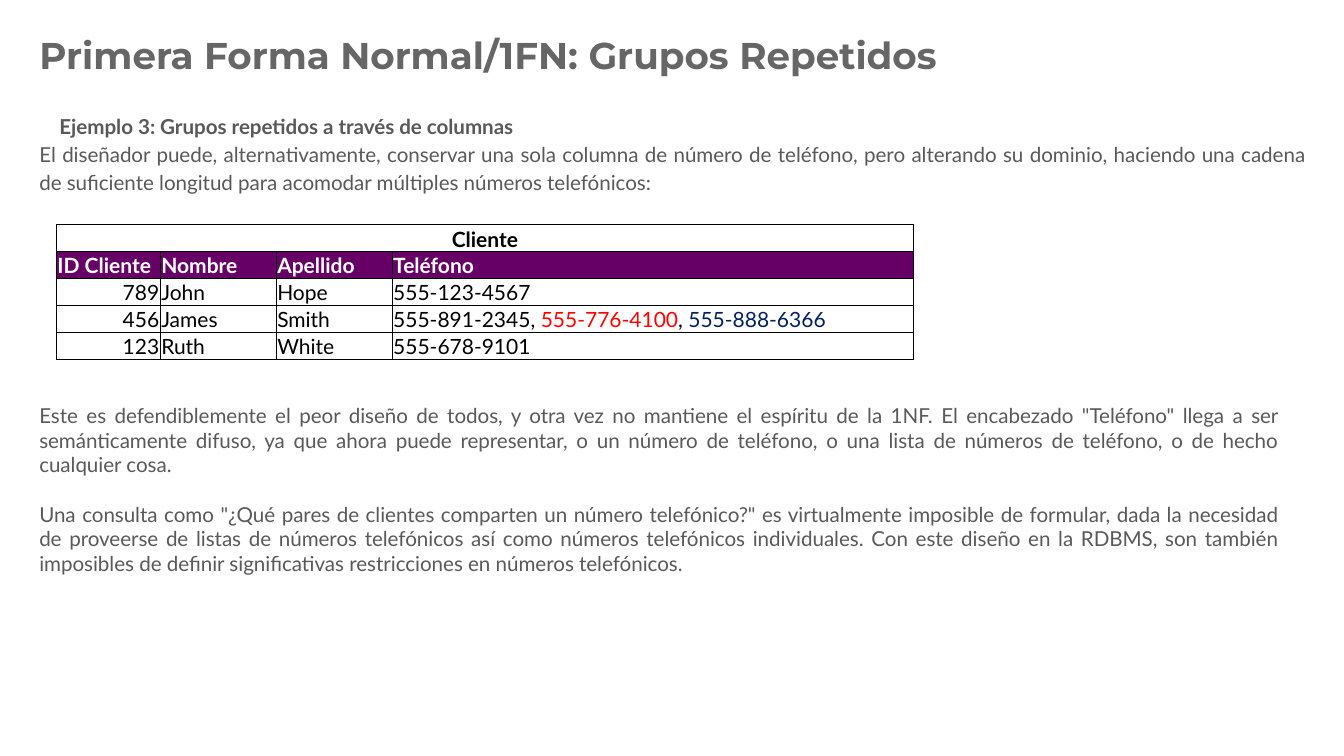
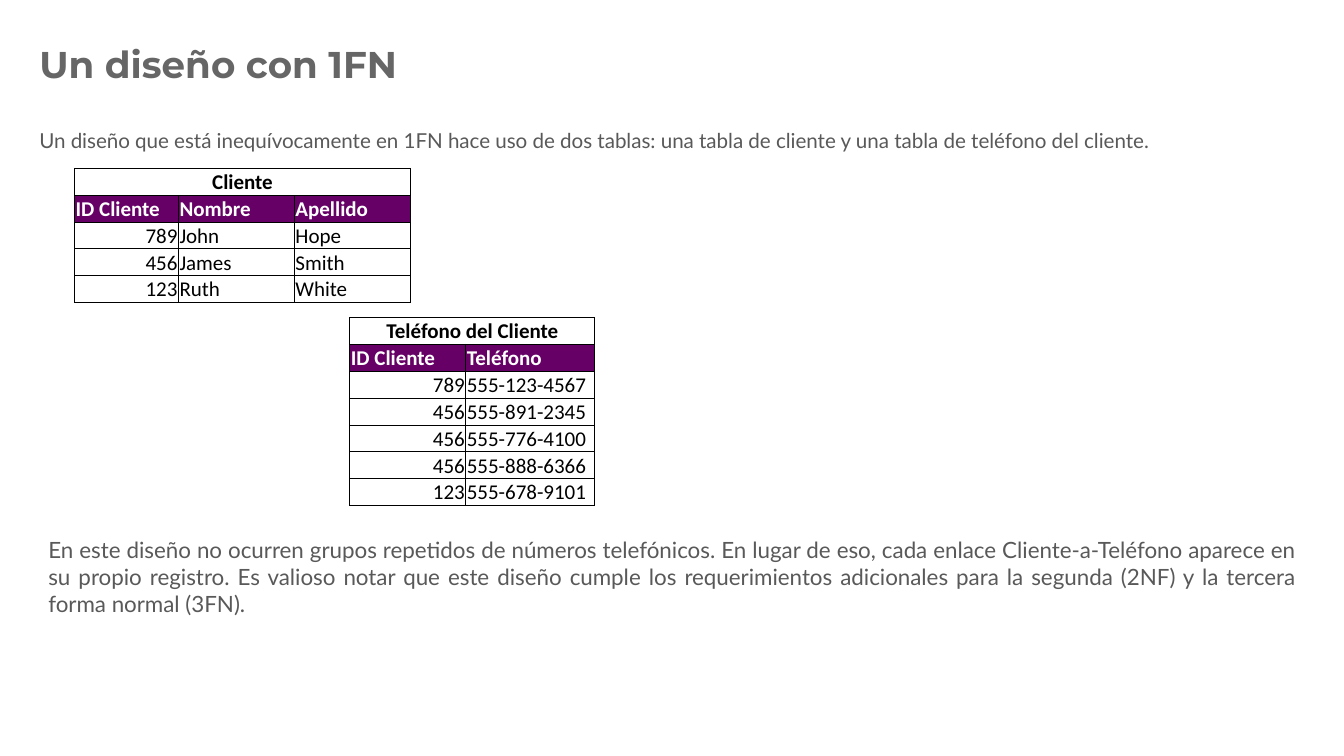
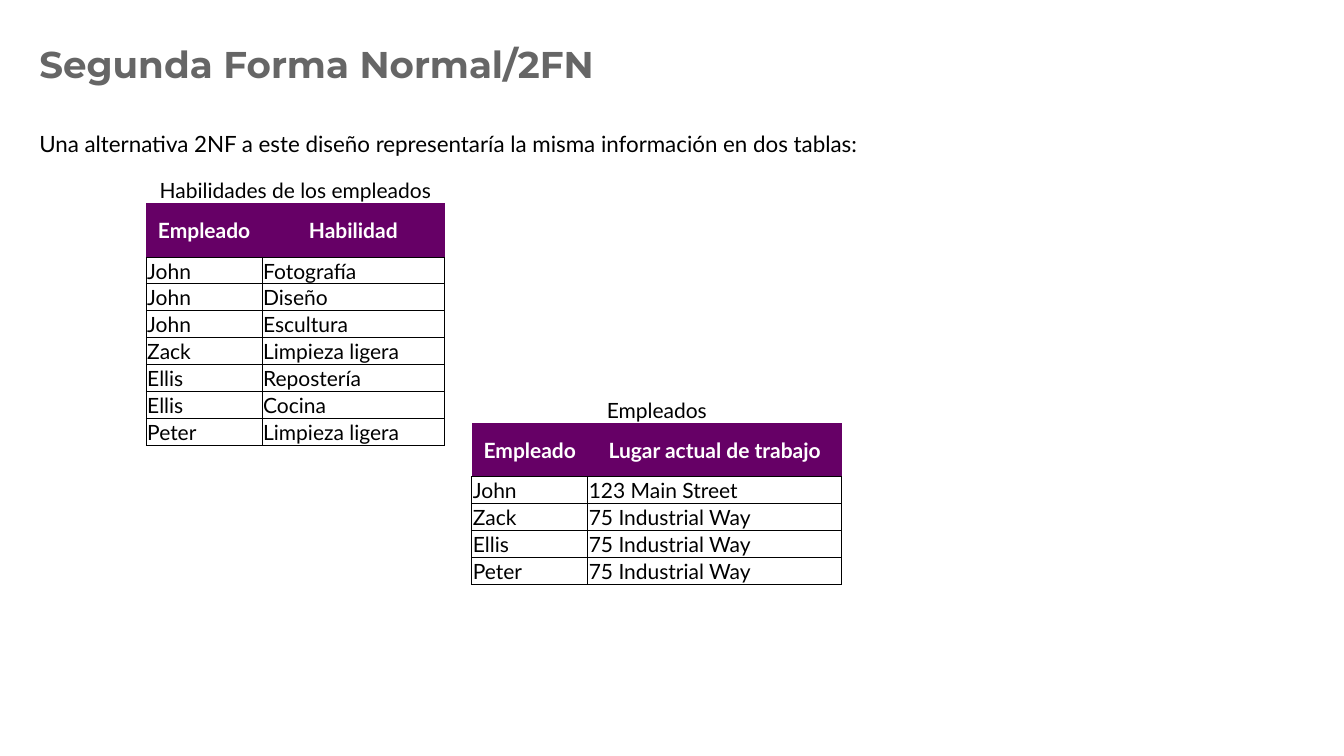
import pptx
import pptx.dml.color
import pptx.enum.shapes
import pptx.enum.text
import pptx.oxml
import pptx.util

Inches = pptx.util.Inches
ALIGN = pptx.enum.text.PP_ALIGN
ANCHOR = pptx.enum.text.MSO_ANCHOR

TITLE_GRAY, TEXT_GRAY = "666666", "595959"
PURPLE, BLACK, WHITE = "660066", "000000", "FFFFFF"
RED, NAVY = "FF0000", "002060"
TITLE_SIZE, BODY_SIZE, LARGE_SIZE, CELL_SIZE = 26.67, 14.67, 16, 15
ROW_HEIGHT = 0.8 / 3
CELL_INSET = pptx.util.Pt(0.75)
ID_WIDTH, NAME_WIDTH = 1.03, 1.15
PLAIN_TABLE_STYLE = "{2D5ABB26-0587-4C30-8999-92F81FD0307C}"
CELL_BORDER = (
    '<a:{side} xmlns:a="http://schemas.openxmlformats.org/drawingml/2006/main"'
    ' w="9525"><a:solidFill><a:srgbClr val="{color}"/></a:solidFill></a:{side}>'
)


def rgb(color):
    return pptx.dml.color.RGBColor.from_string(color)


def write(para, text, *, font="Lato", size=BODY_SIZE, color=TEXT_GRAY, bold=False,
          align=ALIGN.LEFT, indent=0, before=0, spacing=None):
    """Append a formatted span to the paragraph and set the paragraph's format."""
    para.alignment = align
    if indent:
        para._p.get_or_add_pPr().set("marL", str(Inches(indent)))
    if before:
        para.space_before = pptx.util.Pt(before)
    if spacing:
        para.line_spacing = spacing
    span = para.add_run()
    span.text = text
    span.font.name = font
    span.font.size = pptx.util.Pt(size)
    span.font.color.rgb = rgb(color)
    span.font.bold = bold


def add_text(page, box, paragraphs, inset=0.07, anchor=ANCHOR.TOP, fill=None):
    """Place (text, format) paragraphs in a wrapping box, on a panel if it has a fill."""
    place = [Inches(length) for length in box]
    if fill:
        shape = page.shapes.add_shape(pptx.enum.shapes.MSO_SHAPE.RECTANGLE, *place)
        shape.shadow.inherit = False
        shape.fill.solid()
        shape.fill.fore_color.rgb = rgb(fill)
        shape.line.fill.background()
    else:
        shape = page.shapes.add_textbox(*place)
    frame = shape.text_frame
    frame.word_wrap = True
    frame.vertical_anchor = anchor
    frame.margin_left = frame.margin_right = Inches(0.13)
    frame.margin_top = frame.margin_bottom = Inches(inset)
    for index, (text, style) in enumerate(paragraphs):
        para = frame.add_paragraph() if index else frame.paragraphs[0]
        write(para, text, **style)


def add_page(deck, title, top=0.33):
    page = deck.slides.add_slide(deck.slide_layouts[6])
    style = dict(font="Montserrat", size=TITLE_SIZE, color=TITLE_GRAY, bold=True)
    add_text(page, (0.26, top, 12.81, 0.6), [(title, style)], 0.13, ANCHOR.MIDDLE)
    return page


def fill_cell(cell, spans, anchor, fill=None, border=True, **style):
    """Write (text, color) spans in a cell and draw its fill and borders."""
    cell.margin_left = cell.margin_right = cell.margin_top = CELL_INSET
    cell.margin_bottom = 0
    cell.vertical_anchor = anchor
    for text, color in spans:
        write(cell.text_frame.paragraphs[0], text, size=CELL_SIZE, color=color, **style)
    if fill:
        cell.fill.solid()
        cell.fill.fore_color.rgb = rgb(fill)
    else:
        cell.fill.background()
    if border:
        for index, side in enumerate(("lnL", "lnR", "lnT", "lnB")):
            line = pptx.oxml.parse_xml(CELL_BORDER.format(side=side, color=BLACK))
            cell._tc.get_or_add_tcPr().insert(index, line)


def add_data_table(page, left, top, widths, title, headers, records, font="Lato", boxed=True):
    """Draw a title row, a purple header row and records; boxed heads get borders."""
    count = len(records) + 2
    heights = [ROW_HEIGHT] * count
    if not boxed:
        heights[1] *= 2
    frame = page.shapes.add_table(count, len(widths), Inches(left), Inches(top),
                                  Inches(sum(widths)), Inches(sum(heights)))
    table = frame.table
    table._tbl.tblPr.find("{*}tableStyleId").text = PLAIN_TABLE_STYLE
    table.first_row = table.horz_banding = False
    for column, width in zip(table.columns, widths):
        column.width = Inches(width)
    for row, height in zip(table.rows, heights):
        row.height = Inches(height)

    anchor = ANCHOR.BOTTOM if boxed else ANCHOR.MIDDLE
    table.cell(0, 0).merge(table.cell(0, len(widths) - 1))
    for column, header in enumerate(headers):
        fill_cell(table.cell(0, column), [] if column else [(title, BLACK)], anchor,
                  WHITE if boxed else None, boxed, font=font, bold=boxed,
                  align=ALIGN.CENTER)
        fill_cell(table.cell(1, column), [(header, WHITE)], anchor, PURPLE, boxed,
                  font=font, bold=True, align=ALIGN.LEFT if boxed else ALIGN.CENTER)
    for row, record in enumerate(records, 2):
        for column, value in enumerate(record):
            spans = [(value, BLACK)] if isinstance(value, str) else value
            align = ALIGN.RIGHT if spans[0][0].isdigit() else ALIGN.LEFT
            fill_cell(table.cell(row, column), spans, anchor, font=font, align=align)


CUSTOMERS = [("789", "John", "Hope"), ("456", "James", "Smith"), ("123", "Ruth", "White")]
CUSTOMER_HEADERS = ["ID Cliente", "Nombre", "Apellido"]
CUSTOMER_WIDTHS = [ID_WIDTH, NAME_WIDTH, NAME_WIDTH]
JUSTIFIED = dict(align=ALIGN.JUSTIFY)


def add_repeated_groups_page(deck):
    page = add_page(deck, "Primera Forma Normal/1FN: Grupos Repetidos", 0.24)
    add_text(page, (0.26, 0.96, 12.81, 0.94), [
        ("Ejemplo 3: Grupos repetidos a través de columnas",
         dict(bold=True, indent=0.2, spacing=1.15)),
        ("El diseñador puede, alternativamente, conservar una sola columna de número de "
         "teléfono, pero alterando su dominio, haciendo una cadena de suficiente longitud "
         "para acomodar múltiples números telefónicos:", dict(JUSTIFIED, spacing=1.15)),
    ], 0.13)
    add_text(page, (0.26, 3.93, 12.54, 1.86), [
        ("Este es defendiblemente el peor diseño de todos, y otra vez no mantiene el "
         "espíritu de la 1NF. El encabezado \"Teléfono\" llega a ser semánticamente difuso, "
         "ya que ahora puede representar, o un número de teléfono, o una lista de números "
         "de teléfono, o de hecho cualquier cosa.", JUSTIFIED),
        ("Una consulta como \"¿Qué pares de clientes comparten un número telefónico?\" es "
         "virtualmente imposible de formular, dada la necesidad de proveerse de listas de "
         "números telefónicos así como números telefónicos individuales. Con este diseño "
         "en la RDBMS, son también imposibles de definir significativas restricciones en "
         "números telefónicos.", dict(JUSTIFIED, before=1.2 * BODY_SIZE)),
    ], fill=WHITE)
    phones = [
        "555-123-4567",
        [("555-891-2345, ", BLACK), ("555-776-4100", RED), (", ", BLACK),
         ("555-888-6366", NAVY)],
        "555-678-9101",
    ]
    add_data_table(page, 0.56, 2.23, CUSTOMER_WIDTHS + [5.17], "Cliente",
                   CUSTOMER_HEADERS + ["Teléfono"],
                   [(*customer, phone) for customer, phone in zip(CUSTOMERS, phones)])


def add_first_form_page(deck):
    page = add_page(deck, "Un diseño con 1FN")
    add_text(page, (0.26, 1.1, 12.81, 0.94), [
        ("Un diseño que está inequívocamente en 1FN hace uso de dos tablas: una tabla de "
         "cliente y una tabla de teléfono del cliente.", dict(JUSTIFIED, spacing=1.15)),
    ], 0.13)
    add_text(page, (0.35, 5.25, 12.64, 0.94), [
        ("En este diseño no ocurren grupos repetidos de números telefónicos. En lugar de "
         "eso, cada enlace Cliente-a-Teléfono aparece en su propio registro. Es valioso "
         "notar que este diseño cumple los requerimientos adicionales para la segunda "
         "(2NF) y la tercera forma normal (3FN).", dict(JUSTIFIED, size=LARGE_SIZE)),
    ])
    add_data_table(page, 0.74, 1.67, CUSTOMER_WIDTHS, "Cliente", CUSTOMER_HEADERS,
                   CUSTOMERS, font="Calibri")
    add_data_table(page, 3.47, 3.15, [NAME_WIDTH, 1.28], "Teléfono del Cliente",
                   ["ID Cliente", "Teléfono"], [
                       ("789", "555-123-4567"),
                       ("456", "555-891-2345"),
                       ("456", "555-776-4100"),
                       ("456", "555-888-6366"),
                       ("123", "555-678-9101"),
                   ], font="Calibri")


def add_second_form_page(deck):
    page = add_page(deck, "Segunda Forma Normal/2FN")
    add_text(page, (0.26, 1.22, 8.84, 0.4), [
        ("Una alternativa 2NF a este diseño representaría la misma información en dos "
         "tablas:", dict(JUSTIFIED, size=LARGE_SIZE, color=BLACK)),
    ])
    add_data_table(page, 1.45, 1.75, [NAME_WIDTH, 1.81], "Habilidades de los empleados",
                   ["Empleado", "Habilidad"], [
                       ("John", "Fotografía"),
                       ("John", "Diseño"),
                       ("John", "Escultura"),
                       ("Zack", "Limpieza ligera"),
                       ("Ellis", "Repostería"),
                       ("Ellis", "Cocina"),
                       ("Peter", "Limpieza ligera"),
                   ], boxed=False)
    add_data_table(page, 4.68, 3.93, [NAME_WIDTH, 2.52], "Empleados",
                   ["Empleado", "Lugar actual de trabajo"], [
                       ("John", "123 Main Street"),
                       ("Zack", "75 Industrial Way"),
                       ("Ellis", "75 Industrial Way"),
                       ("Peter", "75 Industrial Way"),
                   ], boxed=False)


def main():
    deck = pptx.Presentation()
    deck.slide_width, deck.slide_height = Inches(13.33), Inches(7.5)
    add_repeated_groups_page(deck)
    add_first_form_page(deck)
    add_second_form_page(deck)
    deck.save("out.pptx")


if __name__ == "__main__":
    main()
